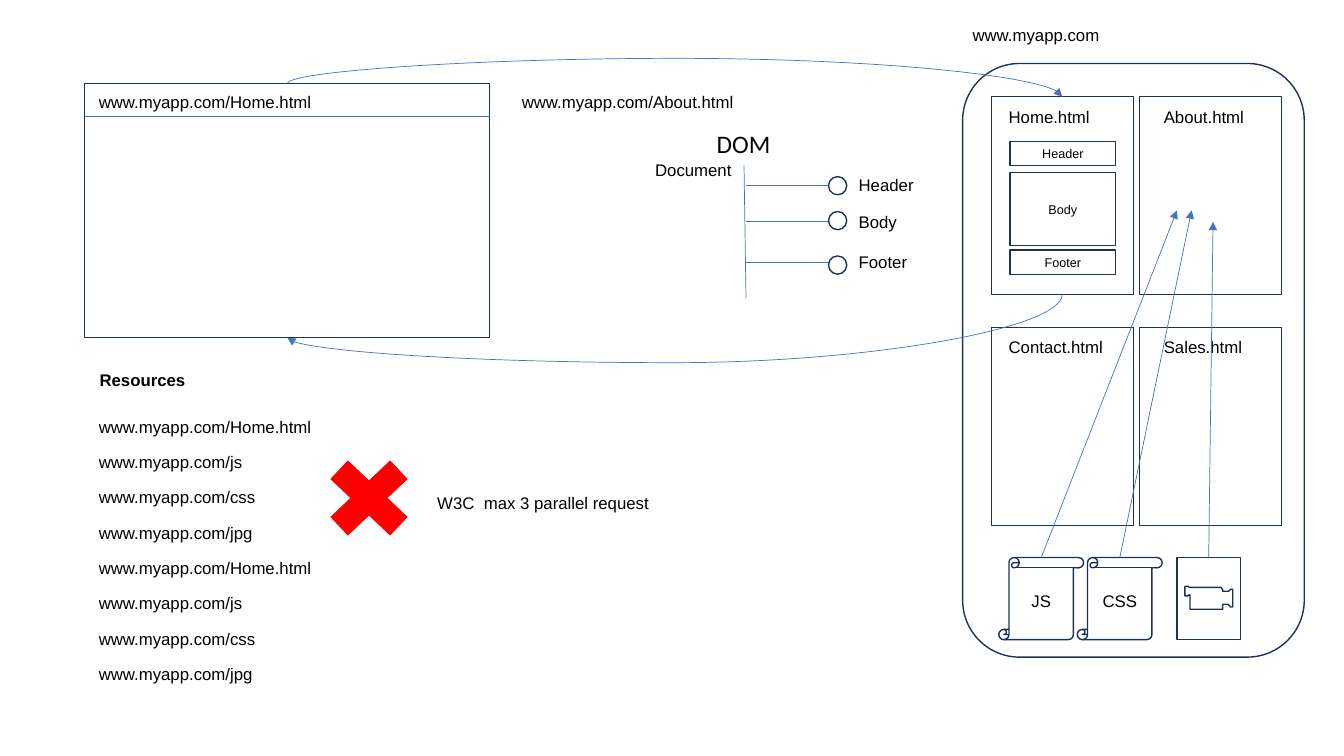
import dataclasses

import pptx
import pptx.dml.color
import pptx.enum.shapes
import pptx.enum.text
import pptx.oxml
import pptx.oxml.ns
import pptx.util

Cm = pptx.util.Cm
Pt = pptx.util.Pt
SHAPE = pptx.enum.shapes.MSO_SHAPE
CONNECTOR = pptx.enum.shapes.MSO_CONNECTOR


@dataclasses.dataclass(frozen=True)
class Theme:
    outline: str = "1E3256"
    link: str = "4472C4"
    text: str = "000000"
    cross: str = "FF0000"
    font: str = "Arial"
    heading_font: str = "Calibri"
    heading: int = 18
    body: int = 12
    small: int = 9
    outline_width: float = 1
    link_width: float = 0.5


THEME = Theme()


def rgb(value):
    return pptx.dml.color.RGBColor.from_string(value)


def write(tf, text, size, font=THEME.font, bold=False):
    tf.text = text
    r = tf.paragraphs[0].runs[0]
    r.font.name = font
    r.font.size = Pt(size)
    r.font.bold = bold
    r.font.color.rgb = rgb(THEME.text)


def add_label(s, text, x, y, w, h=0.77, size=THEME.body, **style):
    tf = s.shapes.add_textbox(Cm(x), Cm(y), Cm(w), Cm(h)).text_frame
    tf.word_wrap = False
    tf.auto_size = pptx.enum.text.MSO_AUTO_SIZE.SHAPE_TO_FIT_TEXT
    write(tf, text, size, **style)


def add_outline(s, kind, x, y, w, h, text="", size=THEME.body):
    sp = s.shapes.add_shape(kind, Cm(x), Cm(y), Cm(w), Cm(h))
    sp.shadow.inherit = False
    sp.fill.background()
    sp.line.color.rgb = rgb(THEME.outline)
    sp.line.width = Pt(THEME.outline_width)
    if text:
        tf = sp.text_frame
        write(tf, text, size)
        tf.vertical_anchor = pptx.enum.text.MSO_ANCHOR.MIDDLE
        tf.paragraphs[0].alignment = pptx.enum.text.PP_ALIGN.CENTER
    return sp


def add_link(s, x1, y1, x2, y2, arrow=False, kind=CONNECTOR.STRAIGHT):
    cxn = s.shapes.add_connector(kind, Cm(x1), Cm(y1), Cm(x2), Cm(y2))
    cxn.line.color.rgb = rgb(THEME.link)
    cxn.line.width = Pt(THEME.link_width)
    if arrow:
        tail = pptx.oxml.parse_xml(
            f'<a:tailEnd {pptx.oxml.ns.nsdecls("a")} type="triangle"/>')
        cxn.line._get_or_add_ln().append(tail)
    cxn._element.spPr.append(
        pptx.oxml.parse_xml(f'<a:effectLst {pptx.oxml.ns.nsdecls("a")}/>'))
    return cxn


def add_arc(s, x1, y1, x2, y2, bend_y):
    """Curved arrow that leaves and arrives vertically, bending at bend_y."""
    cxn = add_link(s, x1, y1, x2, y2, arrow=True, kind=CONNECTOR.CURVE)
    # The preset runs horizontally, so its frame is turned on its side.
    w, h = abs(x2 - x1), y2 - y1
    cxn.left, cxn.top = Cm((x1 + x2 - h) / 2), Cm((y1 + y2 - w) / 2)
    cxn.width, cxn.height = Cm(h), Cm(w)
    rightward = x2 > x1
    xfrm = cxn._element.spPr.find(pptx.oxml.ns.qn("a:xfrm"))
    xfrm.set("rot", str((270 if rightward else 90) * 60000))
    xfrm.set("flipH", "1" if rightward else "0")
    geom = cxn._element.spPr.find(pptx.oxml.ns.qn("a:prstGeom"))
    for old in list(geom):
        geom.remove(old)
    bend = round((bend_y - y1) / h * 100000)
    geom.append(pptx.oxml.parse_xml(
        f'<a:avLst {pptx.oxml.ns.nsdecls("a")}>'
        f'<a:gd name="adj1" fmla="val {bend}"/></a:avLst>'))


def add_browser(s):
    add_outline(s, SHAPE.RECTANGLE, 2.13, 2.11, 10.21, 6.4)
    add_link(s, 2.13, 2.94, 12.34, 2.94)
    add_label(s, "www.myapp.com/Home.html", 2.24, 2.18, 5.92)
    add_label(s, "www.myapp.com/About.html", 12.9, 2.18, 5.9)


def add_server(s):
    add_outline(s, SHAPE.ROUNDED_RECTANGLE, 24.26, 1.6, 8.61, 14.96)
    add_label(s, "www.myapp.com", 24.26, 0.51, 3.73)
    pages = [("Home.html", 2.57), ("About.html", 2.54),
             ("Contact.html", 2.92), ("Sales.html", 2.51)]
    for i, (name, w) in enumerate(pages):
        row, col = divmod(i, 2)
        add_outline(s, SHAPE.RECTANGLE,
                    24.99 + 3.72 * col, 2.44 + 5.82 * row, 3.58, 4.98)
        add_label(s, name, 25.17 + 3.91 * col, 2.57 + 5.8 * row, w)
    for name, y, h in [("Header", 3.56, 0.62), ("Body", 4.35, 1.84),
                       ("Footer", 6.3, 0.62)]:
        add_outline(s, SHAPE.RECTANGLE, 25.45, y, 2.67, h, name, THEME.small)


def add_assets(s):
    top, h = 14.05, 2.07
    add_outline(s, SHAPE.VERTICAL_SCROLL, 25.17, top, 2.14, h, "JS")
    add_outline(s, SHAPE.VERTICAL_SCROLL, 27.15, top, 2.14, h, "CSS")
    add_outline(s, SHAPE.ACTION_BUTTON_MOVIE, 29.66, top, 1.61, h)
    for x, tip_x, tip_y in [(26.24, 29.66, 5.3), (28.22, 30.03, 5.3),
                            (30.46, 30.57, 5.59)]:
        add_link(s, x, top, tip_x, tip_y, arrow=True)


def add_resources(s):
    add_label(s, "Resources", 2.26, 9.2, 2.7, bold=True)
    files = [("Home.html", 5.92), ("js", 4.17), ("css", 4.5), ("jpg", 4.42)]
    for i, (name, w) in enumerate(files * 2):
        add_label(s, f"www.myapp.com/{name}", 2.24, 10.37 + 0.89 * i, w)
    add_label(s, "W3C  max 3 parallel request", 10.77, 12.3, 5.9)
    cross = add_outline(s, SHAPE.MATH_MULTIPLY, 7.85, 11.18, 2.9, 2.74)
    cross.fill.solid()
    cross.fill.fore_color.rgb = rgb(THEME.cross)
    cross.line.fill.background()


def add_dom_tree(s):
    add_label(s, "DOM", 17.81, 3.12, 1.88, 1.02, THEME.heading,
              font=THEME.heading_font)
    add_label(s, "Document", 16.26, 3.91, 2.46)
    add_link(s, 18.75, 4.17, 18.8, 7.52)
    for name, w, label_y, branch_y, node_y in [
            ("Header", 1.91, 4.29, 4.67, 4.45),
            ("Body", 1.47, 5.21, 5.59, 5.33),
            ("Footer", 1.75, 6.22, 6.61, 6.45)]:
        add_link(s, 18.8, branch_y, 20.88, branch_y)
        add_outline(s, SHAPE.OVAL, 20.88, node_y, 0.46, 0.46)
        add_label(s, name, 21.39, label_y, w)


def main():
    prs = pptx.Presentation()
    prs.slide_width, prs.slide_height = Cm(33.87), Cm(19.05)
    s = prs.slides.add_slide(prs.slide_layouts[6])
    add_browser(s)
    add_server(s)
    add_arc(s, 7.24, 2.11, 26.77, 2.44, bend_y=1.47)
    add_arc(s, 26.77, 7.42, 7.24, 8.51, bend_y=9.14)
    add_assets(s)
    add_resources(s)
    add_dom_tree(s)
    prs.save("out.pptx")


if __name__ == "__main__":
    main()
